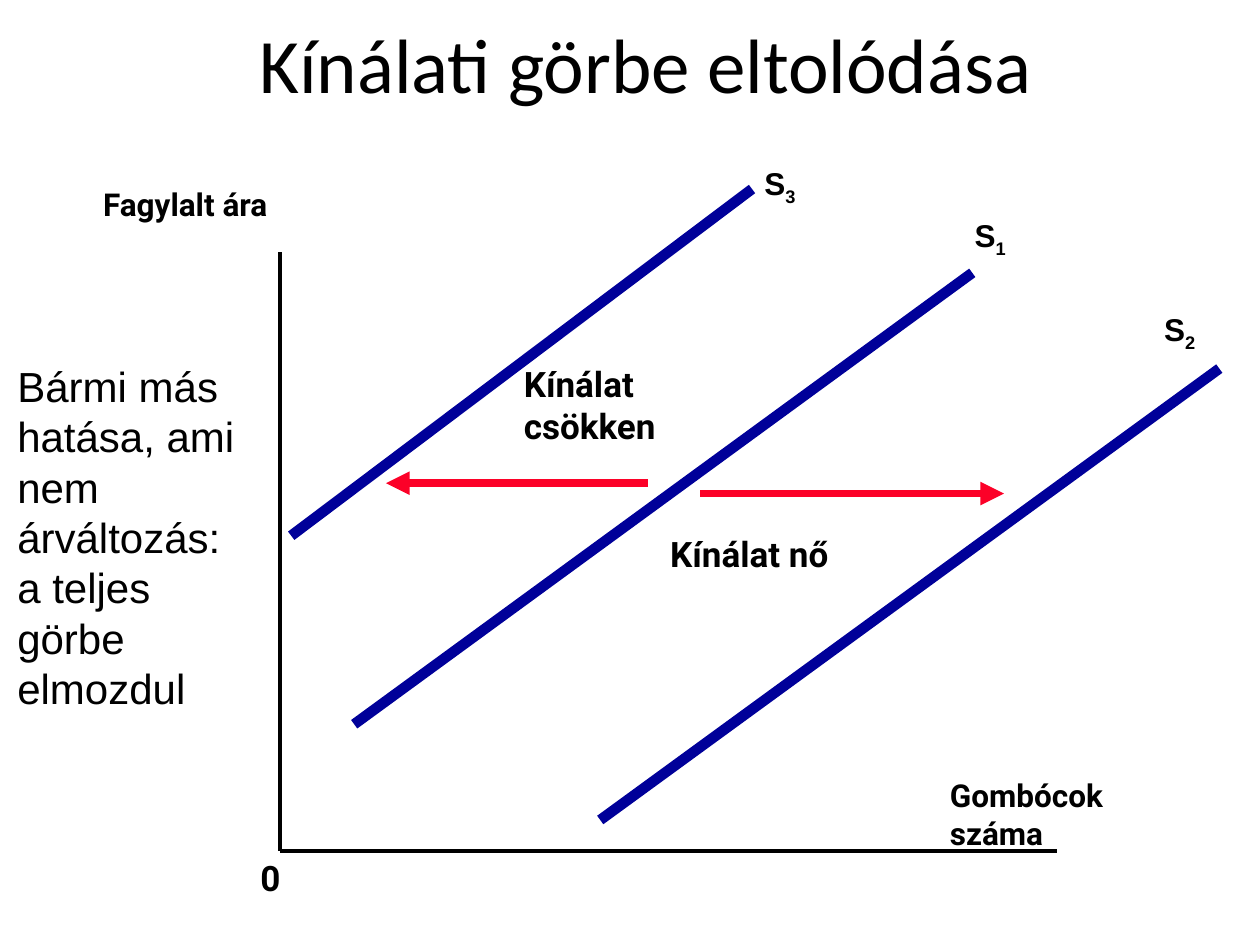
from pptx import Presentation
from pptx.util import Cm, Pt
from pptx.dml.color import RGBColor
from pptx.enum.shapes import MSO_CONNECTOR
from pptx.enum.text import MSO_ANCHOR, PP_ALIGN
from pptx.oxml.ns import qn
from lxml.etree import SubElement

HUES = {"ink": "000000", "curve": "000099", "shift": "FC0128"}

deck = Presentation()
deck.slide_width, deck.slide_height = Cm(25.4), Cm(19.05)
slide = deck.slides.add_slide(deck.slide_layouts[5])


def line(ends, hue, width, arrow=False):
    link = slide.shapes.add_connector(MSO_CONNECTOR.STRAIGHT, *map(Cm, ends))
    link.line.color.rgb = RGBColor.from_string(HUES[hue])
    link.line.width = Pt(width)
    if arrow:
        SubElement(link.line._get_or_add_ln(), qn("a:tailEnd"), type="triangle")
    SubElement(link._element.spPr, qn("a:effectLst"))


def label(text, spot, size, face="Roboto", bold=True, sub=""):
    box = slide.shapes.add_textbox(*map(Cm, spot))
    box.text_frame.word_wrap = True
    para = box.text_frame.paragraphs[0]
    para.text = text
    if sub:
        run = para.add_run()
        run.text = sub
        run._r.get_or_add_rPr().set("baseline", "-25000")
    for run in para.runs:
        run.font.name = face
        run.font.size = Pt(size)
        run.font.bold = bold
        run.font.color.rgb = RGBColor.from_string(HUES["ink"])


title = slide.shapes.title
title.left, title.top, title.width, title.height = Cm(0.64), Cm(0.2), Cm(24.76), Cm(2.12)
title.text_frame.text = "Kínálati görbe eltolódása"
title.text_frame.vertical_anchor = MSO_ANCHOR.MIDDLE
para = title.text_frame.paragraphs[0]
para.alignment = PP_ALIGN.CENTER
font = para.runs[0].font
font.name, font.size = "Calibri", Pt(44)
font.color.rgb = RGBColor.from_string(HUES["ink"])

left, base = 5.64, 17.15
line((left, 5.08, left, base), "ink", 2.25)
line((left, base, 21.31, base), "ink", 2.25)
label("Fagylalt ára", (1.83, 3.61, 4.24, 1.8), 18)
label("Gombócok száma", (18.9, 15.52, 4.24, 1.8), 18)
label("0", (5, base, 1.27, 1.1), 20)

curves = [
    ("1", (7.14, 14.6, 19.6, 5.5), (19.4, 4.24)),
    ("2", (12.1, 16.53, 24.58, 7.43), (23.22, 6.12)),
    ("3", (5.87, 10.8, 15.16, 3.81), (15.16, 3.18)),
]
for num, ends, spot in curves:
    line(ends, "curve", 6)
    label("S", (*spot, 1.7, 1.6), 18, "Arial", sub=num)

shifts = [
    ("Kínálat nő", (13.26, 10.6, 4.65, 1.12), (14.12, 9.95, 20.24, 9.95)),
    ("Kínálat csökken", (10.31, 7.19, 4.65, 1.96), (13.06, 9.74, 7.78, 9.74)),
]
for text, spot, ends in shifts:
    label(text, spot, 20)
    line(ends, "shift", 4.5, arrow=True)

label("Bármi más hatása, ami nem árváltozás:\va teljes görbe elmozdul",
      (0.1, 7.14, 5.41, 7.44), 24, "Arial", bold=False)

deck.save("out.pptx")
